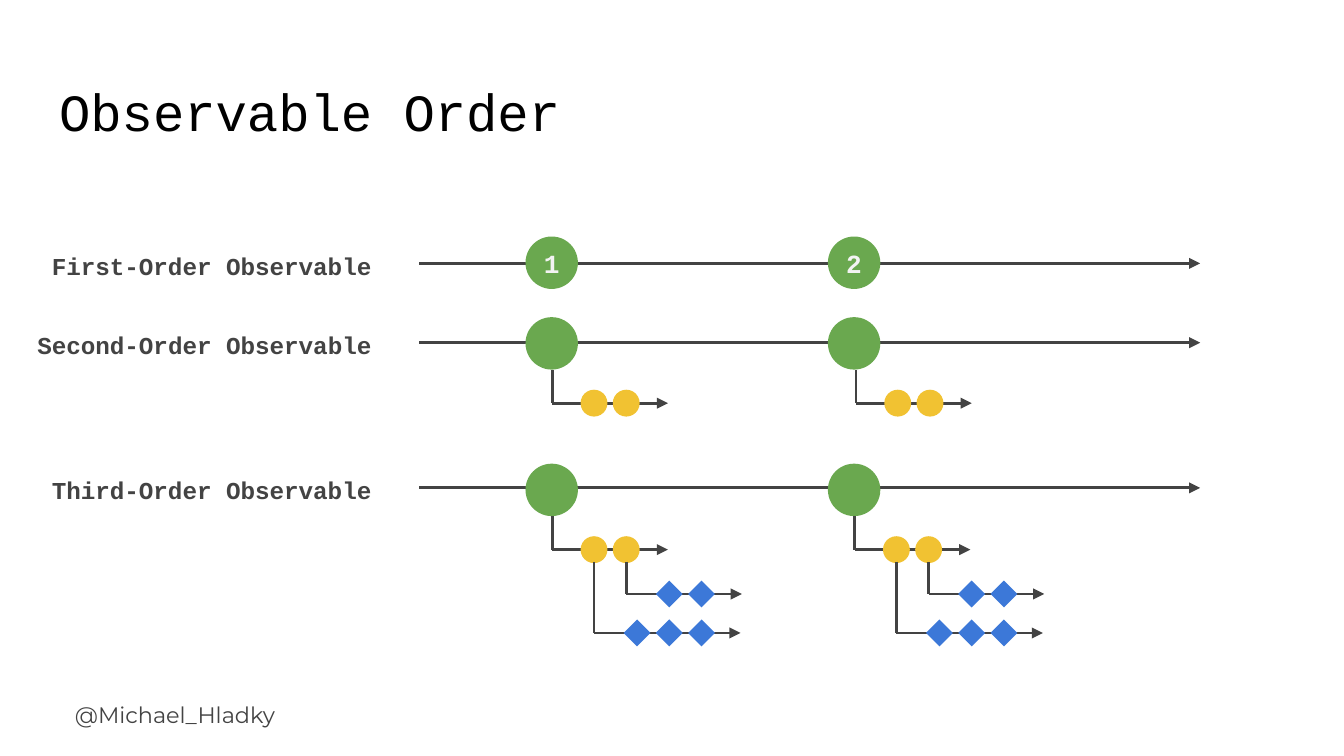
from lxml import etree
from pptx import Presentation
from pptx.dml.color import RGBColor
from pptx.enum.shapes import MSO_CONNECTOR as CONN, MSO_SHAPE as SHAPE
from pptx.enum.text import MSO_ANCHOR as ANCHOR, MSO_AUTO_SIZE as AUTO, PP_ALIGN as ALIGN
from pptx.oxml.ns import qn
from pptx.util import Inches, Pt

BLACK = RGBColor(0x00, 0x00, 0x00)
GRAY = RGBColor(0x43, 0x43, 0x43)
LIGHT = RGBColor(0xF3, 0xF3, 0xF3)
GREEN = RGBColor(0x6A, 0xA8, 0x4F)
YELLOW = RGBColor(0xF1, 0xC2, 0x32)
BLUE = RGBColor(0x3C, 0x78, 0xD8)
MONO = "Courier New"
EVENT, DOT, STEP = 0.39, 0.2, 0.24
EVENT_LEFTS = (3.91, 6.16)


def set_text(tf, text, size, color=GRAY, font=MONO, bold=False,
             align=ALIGN.LEFT, anchor=ANCHOR.TOP, inset=0.1, spacing=1.0):
    tf.word_wrap = True
    tf.auto_size = AUTO.NONE
    tf.vertical_anchor = anchor
    tf.margin_left = tf.margin_right = tf.margin_top = tf.margin_bottom = Inches(inset)
    p = tf.paragraphs[0]
    p.alignment = align
    p.line_spacing = spacing
    r = p.add_run()
    r.text = text
    r.font.size = Pt(size)
    r.font.name = font
    r.font.bold = bold
    r.font.color.rgb = color


def add_text(shapes, x, y, w, h, text, **fmt):
    sp = shapes.add_textbox(Inches(x), Inches(y), Inches(w), Inches(h))
    set_text(sp.text_frame, text, **fmt)


def add_line(shapes, x1, y1, x2, y2, arrow=False):
    line = shapes.add_connector(CONN.STRAIGHT, Inches(x1), Inches(y1), Inches(x2), Inches(y2))
    line.line.color.rgb = GRAY
    line.line.width = Pt(1.5)
    sp_pr = line._element.spPr
    if arrow:
        etree.SubElement(sp_pr.find(qn("a:ln")), qn("a:tailEnd"), type="triangle")
    etree.SubElement(sp_pr, qn("a:effectLst"))


def add_mark(shapes, kind, x, y, size, color):
    sp = shapes.add_shape(kind, Inches(x), Inches(y), Inches(size), Inches(size))
    sp.shadow.inherit = False
    sp.fill.solid()
    sp.fill.fore_color.rgb = color
    sp.line.fill.background()
    return sp


def add_title(s, x, y, w, h):
    sp = s.shapes.title
    sp.left, sp.top, sp.width, sp.height = Inches(x), Inches(y), Inches(w), Inches(h)
    set_text(sp.text_frame, "Observable Order", size=28, color=BLACK)


def add_stream(s, y, event_top, label, label_width, numbers=()):
    add_line(s.shapes, 3.12, y, 8.93, y, arrow=True)
    add_text(s.shapes, 2.86 - label_width, y - 0.25, label_width, 0.5, label, size=13,
             bold=True, align=ALIGN.RIGHT, anchor=ANCHOR.MIDDLE, spacing=1.15)
    events = [add_mark(s.shapes, SHAPE.OVAL, x, event_top, EVENT, GREEN) for x in EVENT_LEFTS]
    for sp, number in zip(events, numbers):
        set_text(sp.text_frame, number, size=14, color=LIGHT, bold=True,
                 align=ALIGN.CENTER, anchor=ANCHOR.MIDDLE, inset=0)


def add_branch(shapes, x, top, y, length, kind, color, offset, count):
    add_line(shapes, x, y, x + length, y, arrow=True)
    add_line(shapes, x, top, x, y)
    for i in range(count):
        add_mark(shapes, kind, x + offset + i * STEP, y - DOT / 2, DOT, color)


def add_second_order(s, x, top):
    g = s.shapes.add_group_shape()
    add_branch(g.shapes, x, top, top + 0.25, 0.86, SHAPE.OVAL, YELLOW, 0.21, 2)


def add_third_order(s, x, top):
    g = s.shapes.add_group_shape()
    add_branch(g.shapes, x, top, top + 0.25, 0.86, SHAPE.OVAL, YELLOW, 0.21, 2)
    add_branch(g.shapes, x + 0.55, top + 0.34, top + 0.58, 0.86, SHAPE.DIAMOND, BLUE, 0.22, 2)
    add_branch(g.shapes, x + 0.31, top + 0.34, top + 0.87, 1.09, SHAPE.DIAMOND, BLUE, 0.22, 3)


def main():
    prs = Presentation()
    prs.slide_width = Inches(10)
    prs.slide_height = prs.slide_width * 9 // 16
    s = prs.slides.add_slide(prs.slide_layouts[5])
    add_text(s.shapes, 0.46, 5.12, 2.24, 0.45, "@Michael_Hladky", size=12, font="Montserrat")
    add_title(s, 0.34, 0.49, 8.65, 0.63)
    add_stream(s, 1.96, 1.76, "First-Order Observable", 2.69, numbers="12")
    add_stream(s, 2.55, 2.36, "Second-Order Observable", 2.82)
    add_stream(s, 3.63, 3.45, "Third-Order Observable", 2.69)
    for x in (4.11, 6.37):
        add_second_order(s, x, 2.75)
    for x in (4.11, 6.36):
        add_third_order(s, x, 3.84)
    prs.save("out.pptx")


if __name__ == "__main__":
    main()
